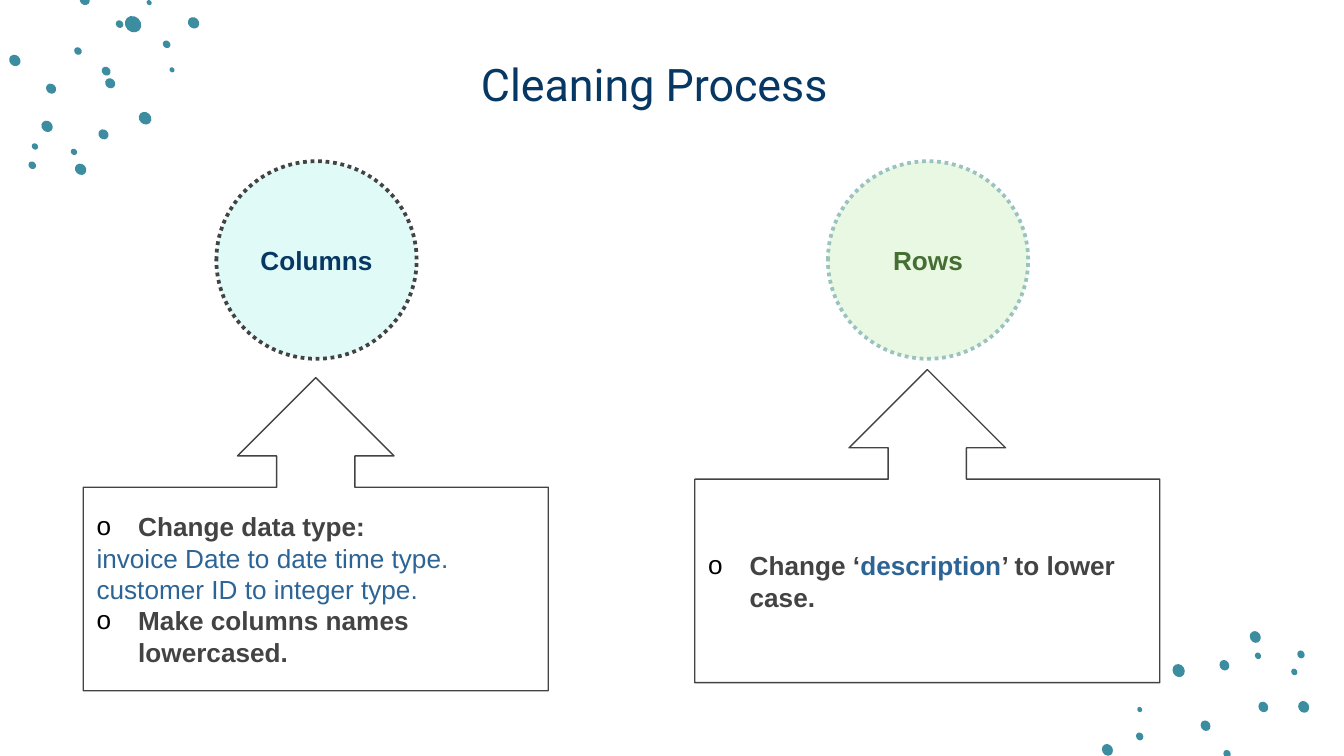
"""Build the Cleaning Process slide with two topics and their callouts."""
from dataclasses import dataclass
from typing import Optional

import lxml.etree
import pptx
import pptx.dml.color
import pptx.enum.dml
import pptx.enum.shapes
import pptx.enum.text
import pptx.oxml.ns
import pptx.util

Inches = pptx.util.Inches
Shapes = pptx.enum.shapes.MSO_SHAPE
Align = pptx.enum.text.PP_ALIGN
Anchor = pptx.enum.text.MSO_ANCHOR

NAVY, GREY, BLUE, TEAL = "073763", "434343", "2C6496", "3C8DA0"
SLIDE_WIDTH = 10
SLIDE_HEIGHT = SLIDE_WIDTH * 9 / 16
INDENT = 0.31
DOT_RATIO = 0.88


@dataclass
class Run:
    text: str
    color: str
    bold: bool = True
    size: float = 14
    font: str = "Arial"


@dataclass
class Line:
    runs: list[Run]
    bullet: bool = False


@dataclass
class Topic:
    left: float
    name: str
    name_color: str
    fill: str
    outline: str
    callout_top: float
    lines: list[Line]


@dataclass
class DotGroup:
    angle: float
    dots: list[tuple[float, float, float]]


TOPICS = [
    Topic(0.62, "Columns", NAVY, "E0FAF8", GREY, 2.81, [
        Line([Run("Change data type:", GREY)], bullet=True),
        Line([Run("invoice Date to date time type.", BLUE, bold=False)]),
        Line([Run("customer ID to integer type.", BLUE, bold=False)]),
        Line([Run("Make columns names lowercased.", GREY)], bullet=True),
    ]),
    Topic(5.17, "Rows", "456E32", "E9F8E2", "9AC2C0", 2.75, [
        Line([Run("Change ‘", GREY), Run("description", BLUE),
              Run("’ to lower case.", GREY)], bullet=True),
    ]),
]

DOT_GROUPS = [
    DotGroup(45, [
        (0.99, 0.18, 0.13), (1.11, 0.02, 0.04), (0.63, 0, 0.08), (0.89, 0.18, 0.06),
        (0.58, 0.38, 0.06), (0.79, 0.53, 0.07), (0.82, 0.62, 0.08), (0.38, 0.66, 0.08),
        (0.77, 1, 0.08), (0.35, 0.94, 0.09), (0.55, 1.13, 0.05), (0.6, 1.26, 0.09),
        (0.26, 1.09, 0.05), (0.24, 1.23, 0.06), (1.08, 0.88, 0.1), (1.44, 0.17, 0.09),
        (1.24, 0.33, 0.06), (1.28, 0.52, 0.04), (0.11, 0.45, 0.09),
    ]),
    DotGroup(60.3, [
        (9.13, 5.61, 0.06), (8.97, 5.4, 0.08), (9.4, 5.26, 0.08), (9.11, 4.95, 0.08),
        (9.36, 4.88, 0.05), (9.34, 4.74, 0.09), (9.63, 5, 0.05), (9.68, 4.87, 0.06),
        (8.77, 4.99, 0.1), (8.24, 5.58, 0.09), (8.48, 5.48, 0.06), (8.48, 5.28, 0.04),
        (9.7, 5.26, 0.09),
    ]),
]


def rgb(value: str) -> pptx.dml.color.RGBColor:
    """Turn a hex string into a colour."""
    return pptx.dml.color.RGBColor.from_string(value)


def add_shape(slide, kind, left: float, top: float, width: float, height: float,
              fill: Optional[str] = None, outline: Optional[str] = None,
              weight: float = 0.75):
    """Add a preset shape without shadow."""
    shape = slide.shapes.add_shape(
        kind, Inches(left), Inches(top), Inches(width), Inches(height))
    shape.shadow.inherit = False
    if fill:
        shape.fill.solid()
        shape.fill.fore_color.rgb = rgb(fill)
    else:
        shape.fill.background()
    if outline:
        shape.line.color.rgb = rgb(outline)
        shape.line.width = pptx.util.Pt(weight)
    else:
        shape.line.fill.background()
    return shape


def add_bullet(paragraph) -> None:
    """Give a paragraph a hanging black circle bullet."""
    properties = paragraph._p.get_or_add_pPr()
    properties.set("marL", str(Inches(INDENT)))
    properties.set("indent", str(-Inches(INDENT)))
    qn = pptx.oxml.ns.qn
    color = lxml.etree.SubElement(properties, qn("a:buClr"))
    lxml.etree.SubElement(color, qn("a:srgbClr"), val="000000")
    lxml.etree.SubElement(properties, qn("a:buFont"), typeface="Arial")
    lxml.etree.SubElement(properties, qn("a:buChar"), char="o")


def write(shape, lines: list[Line], alignment, anchor=Anchor.MIDDLE) -> None:
    """Fill a shape with formatted lines."""
    frame = shape.text_frame
    margin = Inches(0.1)
    settings = {"word_wrap": True, "vertical_anchor": anchor,
                "margin_left": margin, "margin_right": margin,
                "margin_top": margin, "margin_bottom": margin}
    for name, value in settings.items():
        setattr(frame, name, value)
    for index, line in enumerate(lines):
        paragraph = frame.add_paragraph() if index else frame.paragraphs[0]
        paragraph.alignment = alignment
        if line.bullet:
            add_bullet(paragraph)
        for part in line.runs:
            run = paragraph.add_run()
            run.text = part.text
            formats = {"name": part.font, "size": pptx.util.Pt(part.size), "bold": part.bold}
            for name, value in formats.items():
                setattr(run.font, name, value)
            run.font.color.rgb = rgb(part.color)


def draw_dots(slide, group: DotGroup) -> None:
    """Scatter the tilted dots of one corner."""
    for center_x, center_y, length in group.dots:
        height = length * DOT_RATIO
        dot = add_shape(slide, Shapes.OVAL, center_x - length / 2,
                        center_y - height / 2, length, height, TEAL)
        dot.rotation = group.angle


def draw_topic(slide, topic: Topic) -> None:
    """Draw a topic circle and the callout pointing up to it."""
    circle = add_shape(slide, Shapes.OVAL, topic.left + 0.99, 1.2, 1.49, 1.47,
                       topic.fill, topic.outline, 2)
    circle.line.dash_style = pptx.enum.dml.MSO_LINE.ROUND_DOT
    write(circle, [Line([Run(topic.name, topic.name_color)])], Align.CENTER)
    callout = add_shape(slide, Shapes.UP_ARROW_CALLOUT, topic.left, topic.callout_top,
                        3.46, 2.33, outline=GREY)
    write(callout, topic.lines, Align.LEFT)


def main() -> None:
    """Build and save the slide."""
    presentation = pptx.Presentation()
    presentation.slide_width = Inches(SLIDE_WIDTH)
    presentation.slide_height = Inches(SLIDE_HEIGHT)
    slide = presentation.slides.add_slide(presentation.slide_layouts[6])
    for group in DOT_GROUPS:
        draw_dots(slide, group)
    title = slide.shapes.add_textbox(Inches(3.48), Inches(0.32), Inches(3.23), Inches(0.53))
    write(title, [Line([Run("Cleaning Process", NAVY, False, 24, "Roboto")])],
          Align.LEFT, Anchor.TOP)
    for topic in TOPICS:
        draw_topic(slide, topic)
    presentation.save("out.pptx")


if __name__ == "__main__":
    main()
